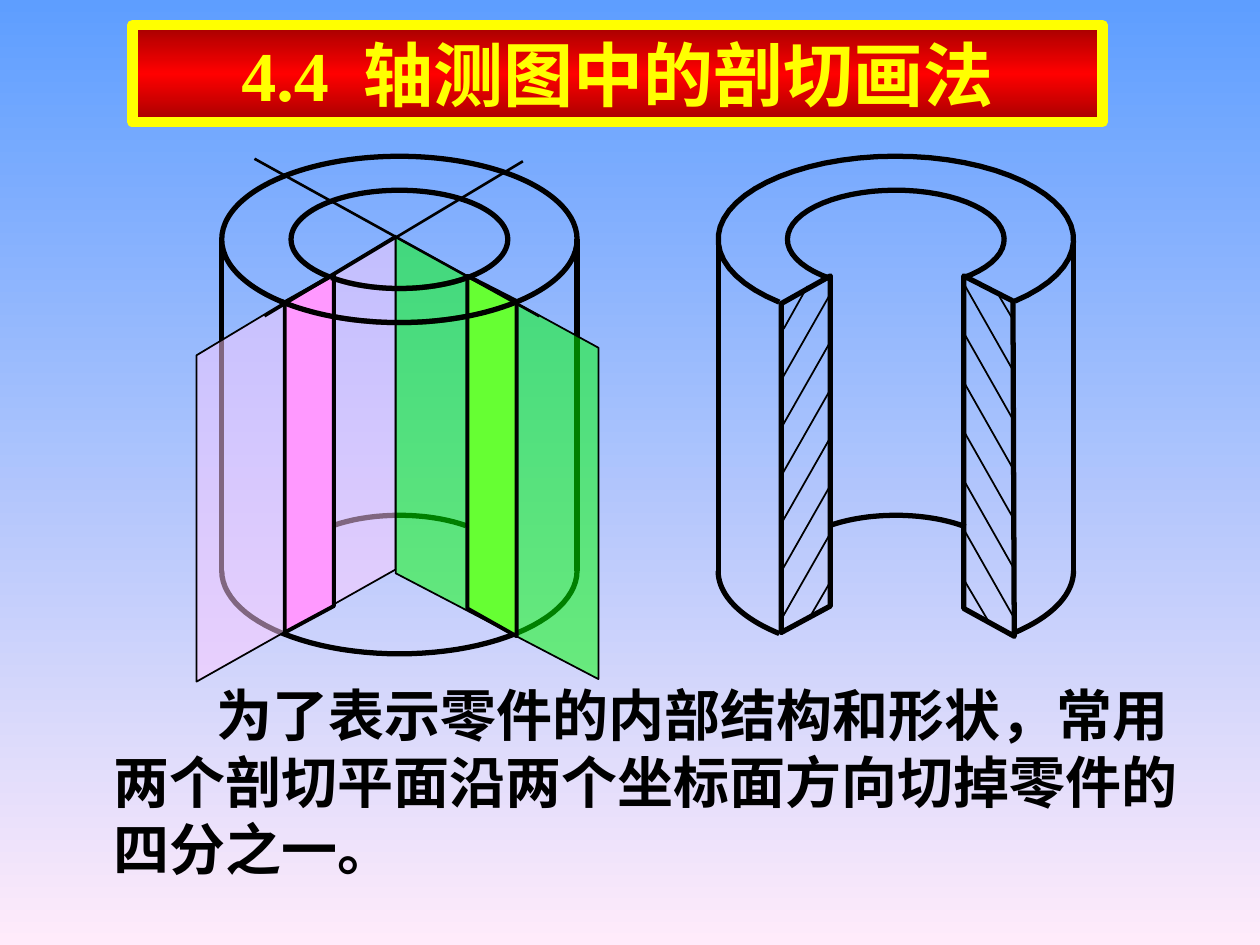
"""Build the slide on sectioned axonometric drawings of a hollow cylinder."""
from copy import deepcopy
from dataclasses import dataclass
from math import cos, radians, sin

from lxml.etree import SubElement
from pptx import Presentation
from pptx.dml.color import RGBColor
from pptx.enum.shapes import MSO_CONNECTOR, MSO_SHAPE
from pptx.enum.text import MSO_ANCHOR, MSO_AUTO_SIZE, PP_ALIGN
from pptx.oxml.ns import qn
from pptx.util import Inches, Pt

Point = tuple[float, float]


@dataclass(frozen=True)
class Theme:
    font: str = "Times New Roman"
    title_size: int = 40
    body_size: int = 32
    ink: str = "000000"
    yellow: str = "FFFF00"
    sky: tuple = ("5E9EFF", "FFEBFA")
    banner: tuple = ("A50000", "FF0000", "A50000")
    thick: float = 3
    edge: float = 2.25
    axis: float = 1.5
    thin: float = 1


@dataclass(frozen=True)
class Arc:
    cx: float
    cy: float
    rx: float
    ry: float
    start: float
    end: float

    def points(self, steps: int = 48) -> list[Point]:
        angles = [radians(self.start + (self.end - self.start) * i / steps)
                  for i in range(steps + 1)]
        return [(self.cx + self.rx * cos(a), self.cy + self.ry * sin(a)) for a in angles]


@dataclass(frozen=True)
class Plane:
    points: tuple
    width: float
    fill: str | None = None
    alpha: int = 100


@dataclass(frozen=True)
class Hatch:
    x1: float
    y1: float
    x2: float
    y2: float


THEME = Theme()
LEFT_X, RIGHT_X = 3.17, 7.11
TOP_Y, BOTTOM_Y, INNER_BOTTOM_Y = 1.9, 4.53, 4.48
OUTER, INNER = (1.41, 0.66), (0.86, 0.39)

RIGHT_ARCS = [
    Arc(RIGHT_X, INNER_BOTTOM_Y, *INNER, 232, 310),
    Arc(RIGHT_X, TOP_Y, *INNER, 127, 412),
    Arc(RIGHT_X, TOP_Y, *OUTER, 131, 408),
    Arc(RIGHT_X, BOTTOM_Y, *OUTER, 0, 48),
    Arc(RIGHT_X, BOTTOM_Y, *OUTER, 180, 131),
]
FRONT_ARCS = [
    Arc(LEFT_X, TOP_Y, *INNER, 129, 50),
    Arc(LEFT_X, TOP_Y, *OUTER, 132, 49),
]
CUT_FACES = [
    Plane(((6.59, 2.19), (6.59, 4.81), (6.2, 5.02), (6.2, 2.41)), THEME.thick),
    Plane(((7.65, 2.19), (7.65, 4.83), (8.05, 5.05), (8.04, 2.39)), THEME.thick),
]
CUTTING_PLANES = [
    Plane(((3.14, 1.87), (3.14, 4.52), (1.56, 5.41), (1.56, 2.82)), THEME.thin, "FFCCFF", 50),
    Plane(((2.65, 2.18), (2.65, 4.81), (2.26, 5.02), (2.26, 2.4)), THEME.edge, "FF99FF"),
    Plane(((3.14, 1.88), (3.14, 4.55), (4.75, 5.39), (4.75, 2.76)), THEME.thin, "00FF00", 50),
    Plane(((3.71, 2.19), (3.71, 4.83), (4.1, 5.05), (4.1, 2.39)), THEME.edge, "66FF33"),
]
HATCHES = [
    *(Hatch(6.58, 2.35 + 0.38 * i, 6.21, 3 + 0.38 * i) for i in range(6)),
    Hatch(6.6, 4.6, 6.42, 4.91),
    Hatch(6.22, 2.61, 6.41, 2.27),
    *(Hatch(7.66, 2.27 + 0.39 * i, 8.04, 2.94 + 0.39 * i) for i in range(6)),
    Hatch(7.65, 4.6, 7.85, 4.94),
    Hatch(8.03, 2.52, 7.93, 2.35),
]
AXES = [Hatch(2.02, 1.26, 4.28, 2.51), Hatch(4.15, 1.28, 2.1, 2.51)]


def set_gradient(fill, root, colors: tuple) -> None:
    """Shade a fill from top to bottom through evenly spaced colours."""
    fill.gradient()
    fill.gradient_angle = 270
    last = root.findall(".//" + qn("a:gs"))[-1]
    for _ in colors[2:]:
        last.addnext(deepcopy(last))
    for i, (stop, color) in enumerate(zip(fill.gradient_stops, colors)):
        stop.color.rgb = RGBColor.from_string(color)
        stop.position = i / (len(colors) - 1)


def set_line(shape, width: float, color: str = THEME.ink) -> None:
    """Set the outline colour and width."""
    shape.line.color.rgb = RGBColor.from_string(color)
    shape.line.width = Pt(width)


def draw_line(s, line: Hatch, width: float) -> None:
    """Draw a straight line without a shadow."""
    ends = (Inches(v) for v in (line.x1, line.y1, line.x2, line.y2))
    cxn = s.shapes.add_connector(MSO_CONNECTOR.STRAIGHT, *ends)
    set_line(cxn, width)
    SubElement(cxn._element.spPr, qn("a:effectLst"))


def draw_path(s, points, width: float, close: bool = False):
    """Draw an unfilled outline through the points."""
    emu = [(Inches(x), Inches(y)) for x, y in points]
    fb = s.shapes.build_freeform(*emu[0])
    fb.add_line_segments(emu[1:], close=close)
    sp = fb.convert_to_shape()
    sp.shadow.inherit = False
    sp.fill.background()
    set_line(sp, width)
    return sp


def draw_plane(s, plane: Plane) -> None:
    """Draw a closed plane, filled when it has a colour."""
    sp = draw_path(s, plane.points, plane.width, close=True)
    if plane.fill:
        sp.fill.solid()
        sp.fill.fore_color.rgb = RGBColor.from_string(plane.fill)
        clr = sp._element.spPr.find(qn("a:solidFill")).find(qn("a:srgbClr"))
        SubElement(clr, qn("a:alpha"), val=str(plane.alpha * 1000))


def draw_ellipse(s, cx: float, cy: float, rx: float, ry: float) -> None:
    """Draw an unfilled ellipse about its centre."""
    box = (Inches(v) for v in (cx - rx, cy - ry, 2 * rx, 2 * ry))
    sp = s.shapes.add_shape(MSO_SHAPE.OVAL, *box)
    sp.shadow.inherit = False
    sp.fill.background()
    set_line(sp, THEME.thick)


def draw_sides(s, cx: float) -> None:
    """Draw the two vertical sides of a cylinder."""
    for x in (cx + OUTER[0], cx - OUTER[0]):
        draw_line(s, Hatch(x, TOP_Y, x, BOTTOM_Y), THEME.thick)


def set_text(sp, text: str, size: int, color: str, anchor, align):
    """Write one bold paragraph and return it."""
    tf = sp.text_frame
    tf.word_wrap = True
    tf.auto_size = MSO_AUTO_SIZE.SHAPE_TO_FIT_TEXT
    tf.vertical_anchor = anchor
    tf.text = text
    p = tf.paragraphs[0]
    p.alignment = align
    font = p.runs[0].font
    font.name, font.size, font.bold = THEME.font, Pt(size), True
    font.color.rgb = RGBColor.from_string(color)
    return p


def main() -> None:
    """Compose and save the slide."""
    prs = Presentation()
    prs.slide_width, prs.slide_height = Inches(10), Inches(7.5)
    s = prs.slides.add_slide(prs.slide_layouts[6])
    set_gradient(s.background.fill, s._element, THEME.sky)

    draw_sides(s, LEFT_X)
    draw_path(s, Arc(LEFT_X, BOTTOM_Y, *OUTER, 180, 0).points(), THEME.thick)
    for radii in (INNER, OUTER):
        draw_ellipse(s, LEFT_X, TOP_Y, *radii)

    draw_sides(s, RIGHT_X)
    for face in CUT_FACES:
        draw_plane(s, face)
    for arc in RIGHT_ARCS:
        draw_path(s, arc.points(), THEME.thick)
    for hatch in HATCHES:
        draw_line(s, hatch, THEME.thin)

    title = s.shapes.add_shape(MSO_SHAPE.RECTANGLE, Inches(1.05), Inches(0.2), Inches(7.7), Inches(0.77))
    title.shadow.inherit = False
    set_gradient(title.fill, title._element, THEME.banner)
    set_line(title, 6, THEME.yellow)
    set_text(title, "4.4  轴测图中的剖切画法", THEME.title_size, THEME.yellow,
             MSO_ANCHOR.TOP, PP_ALIGN.CENTER)

    body = s.shapes.add_textbox(Inches(0.8), Inches(5.35), Inches(8.8), Inches(1.7))
    p = set_text(body, "为了表示零件的内部结构和形状，常用两个剖切平面沿两个坐标面方向切掉零件的四分之一。",
                 THEME.body_size, THEME.ink, MSO_ANCHOR.MIDDLE, PP_ALIGN.LEFT)
    p._p.get_or_add_pPr().set("indent", str(Inches(0.82)))

    draw_path(s, Arc(LEFT_X, INNER_BOTTOM_Y, *INNER, 230, 308).points(), THEME.thick)
    for plane in CUTTING_PLANES:
        draw_plane(s, plane)
    for arc in FRONT_ARCS:
        draw_path(s, arc.points(), THEME.thick)
    for axis in AXES:
        draw_line(s, axis, THEME.axis)
    prs.save("out.pptx")


if __name__ == "__main__":
    main()
